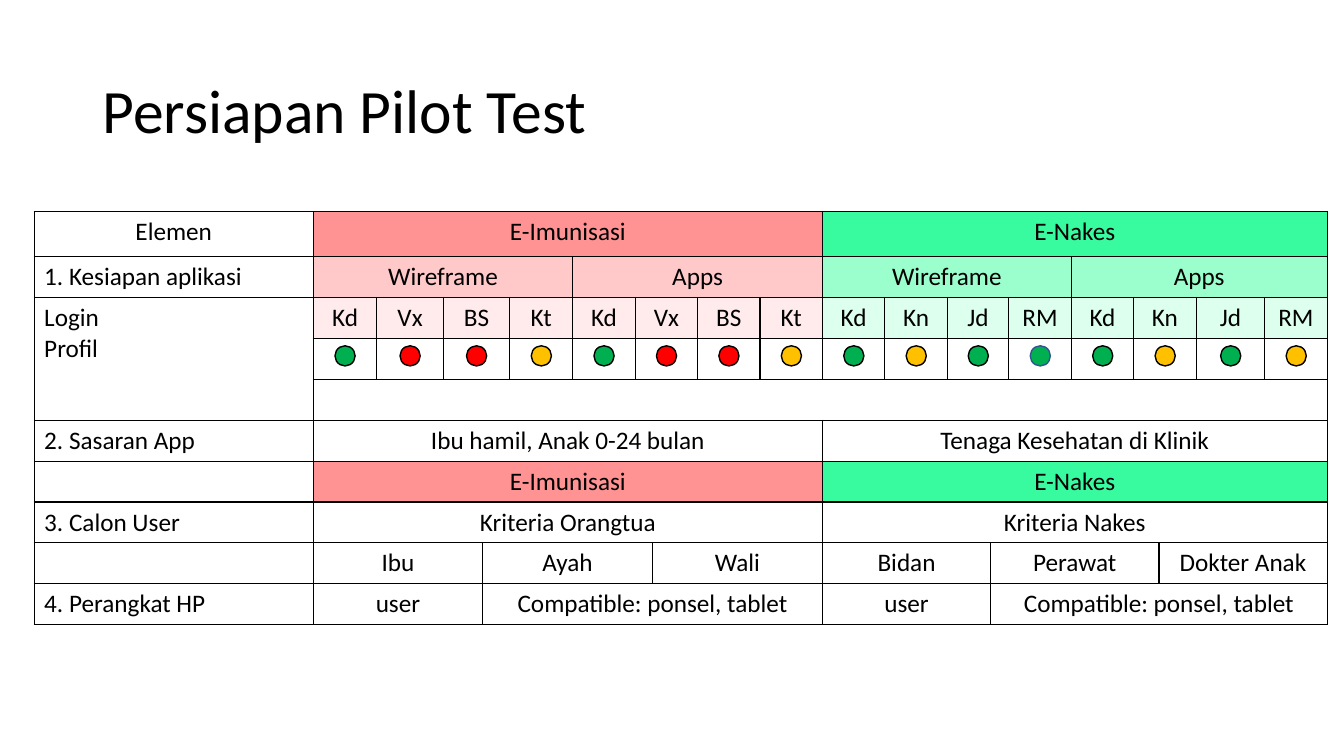
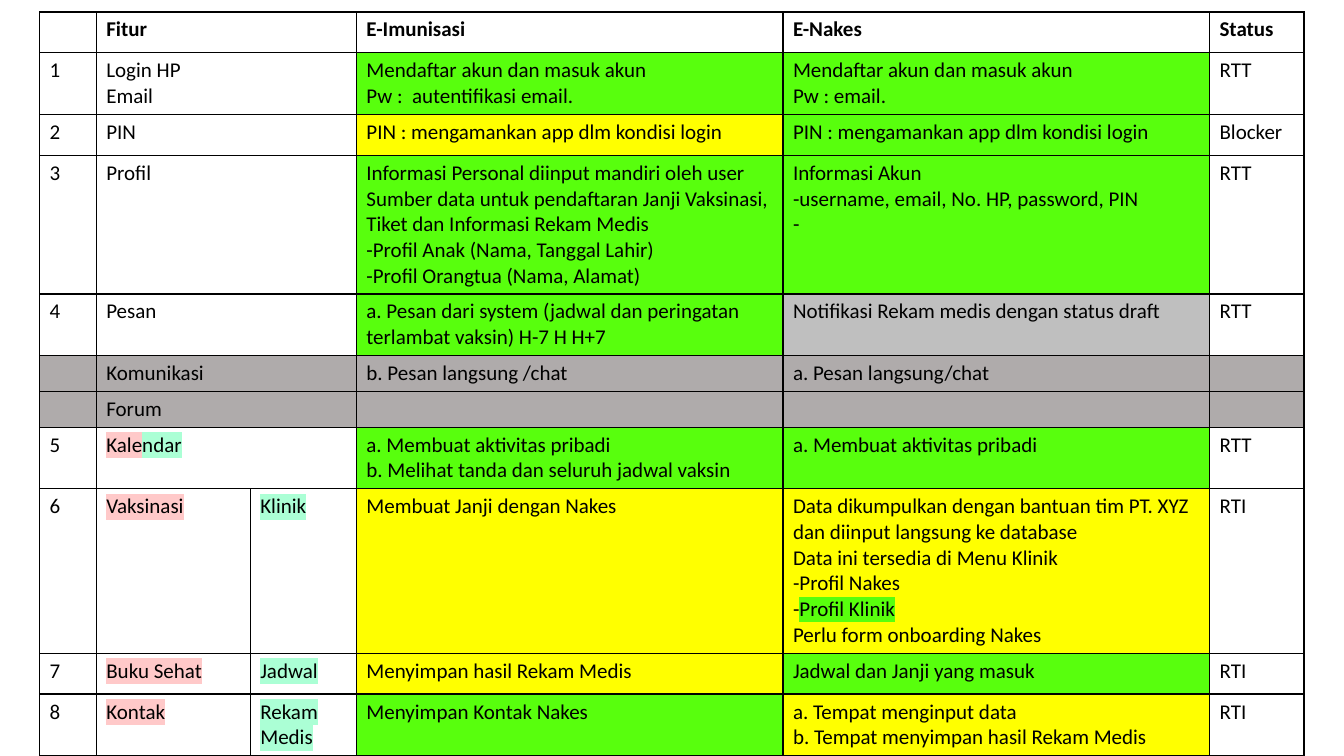
"""Build two slides on the pilot test: readiness overview and feature status."""
from lxml import etree
from pptx import Presentation
from pptx.dml.color import RGBColor
from pptx.enum.shapes import MSO_SHAPE
from pptx.enum.text import MSO_ANCHOR, PP_ALIGN
from pptx.oxml.ns import qn
from pptx.util import Pt

OVAL = MSO_SHAPE.OVAL
MIDDLE = MSO_ANCHOR.MIDDLE
LEFT, CENTER = PP_ALIGN.LEFT, PP_ALIGN.CENTER

FONT = "Calibri"
BLACK = RGBColor(0x00, 0x00, 0x00)
WHITE = RGBColor(0xFF, 0xFF, 0xFF)
CORAL = RGBColor(0xFF, 0x93, 0x93)
PINK = RGBColor(0xFF, 0xC9, 0xC9)
BLUSH = RGBColor(0xFF, 0xEB, 0xEB)
JADE = RGBColor(0x38, 0xFA, 0x9E)
MINT = RGBColor(0x9B, 0xFF, 0xCD)
PALE = RGBColor(0xDD, 0xFF, 0xEE)
AQUA = RGBColor(0xAB, 0xFF, 0xD5)
LIME = RGBColor(0x58, 0xFF, 0x0D)
YELLOW = RGBColor(0xFF, 0xFF, 0x00)
SILVER = RGBColor(0xBF, 0xBF, 0xBF)
GRAY = RGBColor(0xAF, 0xAB, 0xAB)
GREEN = RGBColor(0x00, 0xB0, 0x50)
AMBER = RGBColor(0xFF, 0xC0, 0x00)
RED = RGBColor(0xFF, 0x00, 0x00)
NAVY = RGBColor(0x32, 0x54, 0x91)


def put(cell, lines, size, fill=WHITE, align=LEFT, bold=False):
    """Fill a cell; a line is a string or a list of (text, highlight) runs."""
    cell.fill.solid()
    cell.fill.fore_color.rgb = fill
    frame = cell.text_frame
    for i, line in enumerate(lines):
        para = frame.add_paragraph() if i else frame.paragraphs[0]
        para.alignment = align
        para.font.name = FONT
        para.font.size = Pt(size)
        para.font.bold = bold
        para.font.color.rgb = BLACK
        for text, mark in [(line, None)] if isinstance(line, str) else line:
            if not text:
                continue
            run = para.add_run()
            run.text = text
            if mark is not None:
                light = etree.SubElement(run._r.get_or_add_rPr(), qn("a:highlight"))
                etree.SubElement(light, qn("a:srgbClr")).set("val", str(mark))


def grid(slide, left, top, widths, heights, size):
    """Add an empty white table with thin black borders."""
    table = slide.shapes.add_table(
        len(heights), len(widths), Pt(left), Pt(top),
        Pt(sum(widths)), Pt(sum(heights))).table
    table.first_row = table.horz_banding = False
    for col, width in zip(table.columns, widths):
        col.width = Pt(width)
    for row, height in zip(table.rows, heights):
        row.height = Pt(height)
    for cell in table.iter_cells():
        for side in ("a:lnL", "a:lnR", "a:lnT", "a:lnB"):
            edge = etree.SubElement(cell._tc.get_or_add_tcPr(), qn(side), w="12700")
            ink = etree.SubElement(edge, qn("a:solidFill"))
            etree.SubElement(ink, qn("a:srgbClr")).set("val", str(BLACK))
        put(cell, [""], size)
        end = cell.text_frame.paragraphs[0]._p.get_or_add_endParaRPr()
        end.set("sz", str(size * 100))
        etree.SubElement(end, qn("a:latin")).set("typeface", FONT)
    return table


deck = Presentation()
deck.slide_width, deck.slide_height = Pt(960), Pt(540)

slide = deck.slides.add_slide(deck.slide_layouts[5])
title = slide.shapes.title
title.left, title.top, title.width, title.height = Pt(66), Pt(28.8), Pt(828), Pt(104.4)
title.text_frame.text = "Persiapan Pilot Test"
title.text_frame.vertical_anchor = MIDDLE
para = title.text_frame.paragraphs[0]
para.alignment = LEFT
para.line_spacing = 0.9
para.font.name = FONT
para.font.size = Pt(44)
para.font.color.rgb = BLACK

SIZE = 18
left, top = 24.4, 151.1
widths = [199.4, 45.4, 47.5, 28.1, 19.4, 45, 44.6, 12.2, 32.4, 44.6, 44.6,
          44.6, 44.6, 31, 13, 44.6, 44.6, 18, 26.6, 49, 44.6]
heights = [32.3] + [29.2] * 9
table = grid(slide, left, top, widths, heights, SIZE)

labels = {0: "Elemen", 1: "1. Kesiapan aplikasi", 2: "Login\nProfil",
          5: "2. Sasaran App", 7: "3. Calon User", 9: "4. Perangkat HP"}
for row, label in labels.items():
    put(table.cell(row, 0), label.split("\n"), SIZE, align=LEFT if row else CENTER)
table.cell(2, 0).merge(table.cell(4, 0))
table.cell(4, 1).merge(table.cell(4, 20))

UNITS = [1, 1, 2, 1, 1, 2, 1, 1]
apps = ["Wireframe", "Apps"]
phone = ["user", "Compatible: ponsel, tablet"]
bands = [
    (0, [10], ["E-Imunisasi"], ["E-Nakes"], CORAL, JADE),
    (1, [5, 5], apps, apps, PINK, MINT),
    (2, UNITS, ["Kd", "Vx", "BS", "Kt"] * 2, ["Kd", "Kn", "Jd", "RM"] * 2, BLUSH, PALE),
    (3, UNITS, [""] * 8, [""] * 8, WHITE, WHITE),
    (5, [10], ["Ibu hamil, Anak 0-24 bulan"], ["Tenaga Kesehatan di Klinik"], WHITE, WHITE),
    (6, [10], ["E-Imunisasi"], ["E-Nakes"], CORAL, JADE),
    (7, [10], ["Kriteria Orangtua"], ["Kriteria Nakes"], WHITE, WHITE),
    (8, [3, 4, 3], ["Ibu", "Ayah", "Wali"], ["Bidan", "Perawat", "Dokter Anak"], WHITE, WHITE),
    (9, [3, 7], phone, phone, WHITE, WHITE),
]
for row, spans, first, second, warm, cool in bands:
    col = 1
    for texts, fill in ((first, warm), (second, cool)):
        for span, text in zip(spans, texts):
            cell = table.cell(row, col)
            if span > 1:
                cell.merge(table.cell(row, col + span - 1))
            put(cell, [text], SIZE, fill, CENTER)
            col += span

DOT = 14.4
states = [GREEN, RED, RED, AMBER, GREEN, RED, RED, AMBER,
          GREEN, AMBER, GREEN, GREEN, GREEN, AMBER, GREEN, AMBER]
col = 1
for i, (span, state) in enumerate(zip(UNITS * 2, states)):
    mid = left + sum(widths[:col]) + sum(widths[col:col + span]) / 2
    dot = slide.shapes.add_shape(OVAL, Pt(mid - DOT / 2), Pt(247), Pt(DOT), Pt(DOT))
    dot.shadow.inherit = False
    dot.fill.solid()
    dot.fill.fore_color.rgb = state
    dot.line.color.rgb = NAVY if i == 11 else BLACK
    dot.line.width = Pt(1)
    col += span

slide = deck.slides.add_slide(deck.slide_layouts[6])
SIZE = 15
widths = [40.5, 110, 75.8, 304.7, 304.7, 67.5]
heights = [29.2, 44, 29.2, 98.8, 44, 25.6, 25.6, 44, 117.2, 29.2, 44]
table = grid(slide, 28.3, 8.5, widths, heights, SIZE)

pin = ["PIN : mengamankan app dlm kondisi login"]
rows = [
    ("", ["Fitur"], None, ["E-Imunisasi"], WHITE, ["E-Nakes"], WHITE, "Status"),
    ("1", ["Login HP", "Email"], None,
     ["Mendaftar akun dan masuk akun", "Pw :  autentifikasi email."], LIME,
     ["Mendaftar akun dan masuk akun", "Pw : email."], LIME, "RTT"),
    ("2", ["PIN"], None, pin, YELLOW, pin, LIME, "Blocker"),
    ("3", ["Profil"], None,
     ["Informasi Personal diinput mandiri oleh user",
      "Sumber data untuk pendaftaran Janji Vaksinasi, Tiket dan Informasi Rekam Medis",
      "-Profil Anak (Nama, Tanggal Lahir)", "-Profil Orangtua (Nama, Alamat)"], LIME,
     ["Informasi Akun", "-username, email, No. HP, password, PIN", "-"], LIME, "RTT"),
    ("4", ["Pesan"], None,
     ["a. Pesan dari system (jadwal dan peringatan terlambat vaksin) H-7 H H+7"], LIME,
     ["Notifikasi Rekam medis dengan status draft"], SILVER, "RTT"),
    ("", ["Komunikasi"], None, ["b. Pesan langsung /chat"], GRAY,
     ["a. Pesan langsung/chat"], GRAY, ""),
    ("", ["Forum"], None, [""], GRAY, [""], GRAY, ""),
    ("5", [[("Kale", PINK), ("ndar", AQUA)]], None,
     ["a. Membuat aktivitas pribadi", "b. Melihat tanda dan seluruh jadwal vaksin"], LIME,
     ["a. Membuat aktivitas pribadi"], LIME, "RTT"),
    ("6", [[("Vaksinasi", PINK)]], [[("Klinik", AQUA)]],
     ["Membuat Janji dengan Nakes"], YELLOW,
     ["Data dikumpulkan dengan bantuan tim PT. XYZ dan diinput langsung ke database",
      "Data ini tersedia di Menu Klinik", "-Profil Nakes",
      [("-", None), ("Profil Klinik", LIME)], "Perlu form onboarding Nakes"], YELLOW, "RTI"),
    ("7", [[("Buku Sehat", PINK)]], [[("Jadwal", AQUA)]],
     ["Menyimpan hasil Rekam Medis"], YELLOW,
     ["Jadwal dan Janji yang masuk"], LIME, "RTI"),
    ("8", [[("Kontak", PINK)]], [[("Rekam Medis", AQUA)]],
     ["Menyimpan Kontak Nakes"], LIME,
     ["a. Tempat menginput data", "b. Tempat menyimpan hasil Rekam Medis"], YELLOW, "RTI"),
]
for row, (num, name, extra, parent, tint, nurse, tone, status) in enumerate(rows):
    base = GRAY if tint == GRAY else WHITE
    if extra is None:
        table.cell(row, 1).merge(table.cell(row, 2))
    parts = [([num], base), (name, base), (extra, base),
             (parent, tint), (nurse, tone), ([status], base)]
    for col, (lines, fill) in enumerate(parts):
        if lines is not None:
            put(table.cell(row, col), lines, SIZE, fill, bold=row == 0)

deck.save("out.pptx")
